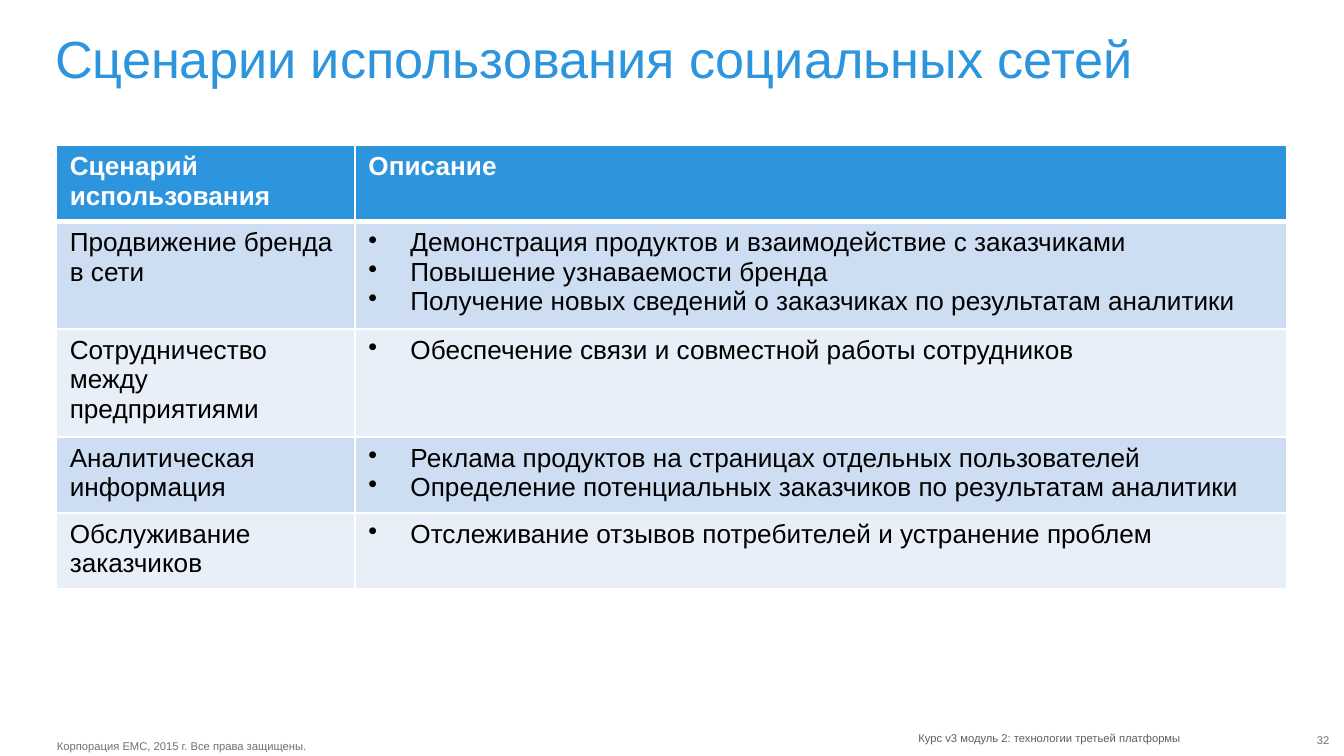
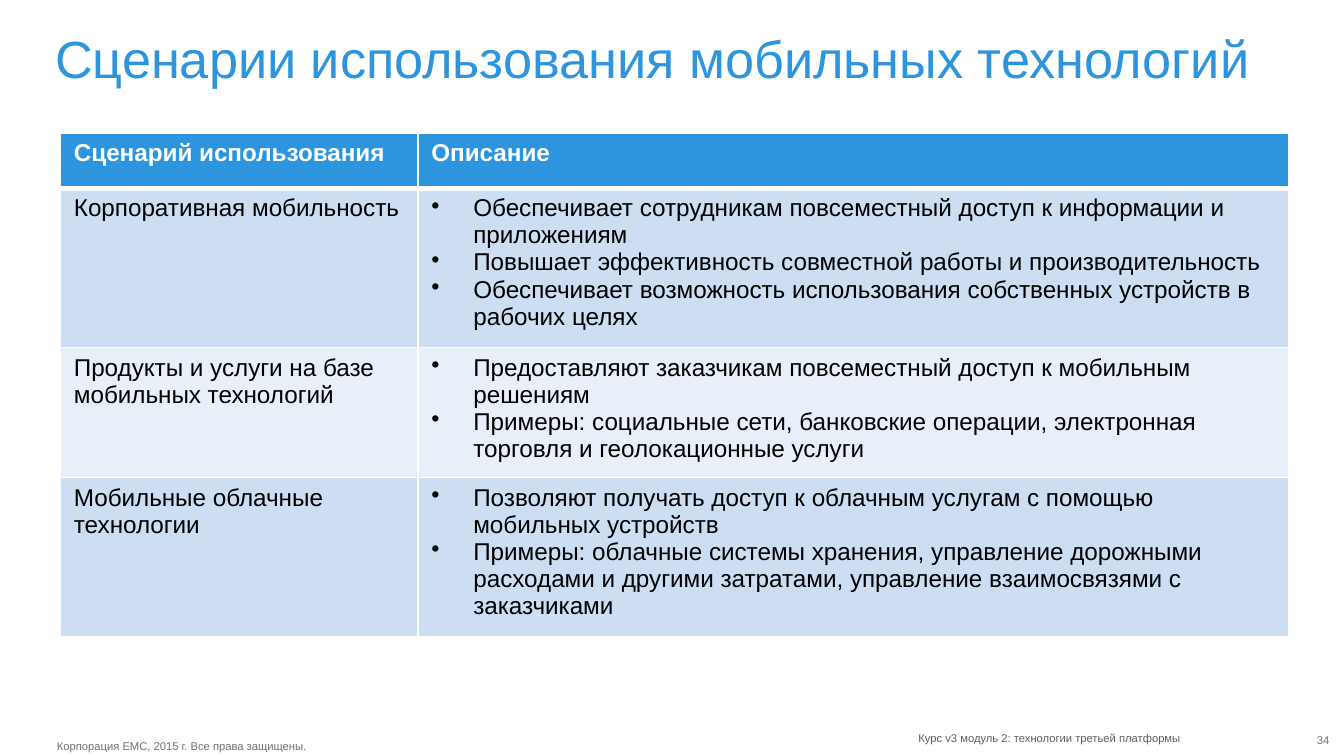
"""Builds two slides of usage scenario tables for social networks and mobile technologies."""
import pptx
import pptx.dml.color
import pptx.enum.text
import pptx.oxml
import pptx.oxml.ns
import pptx.util

Pt = pptx.util.Pt
FONT = "Arial"
BLUE, WHITE, BLACK = "2C95DD", "FFFFFF", "000000"
BANDS = ("CDDDF2", "E8EFF9")
COPYRIGHT_GREY, MODULE_GREY, NUMBER_GREY = "717073", "5B5E61", "717074"
LEFT, RIGHT = pptx.enum.text.PP_ALIGN.LEFT, pptx.enum.text.PP_ALIGN.RIGHT
COPYRIGHT = "Корпорация EMC, 2015 г. Все права защищены."
MODULE = "Курс v3 модуль 2: технологии третьей платформы"
HEADINGS = ("Сценарий использования", "Описание")
ROW_HEIGHT, BULLET_INDENT = 29.5, 22.5

SLIDES = [
    {
        "title": "Сценарии использования социальных сетей",
        "number": "32",
        "place": (30.2, 77.8, 237.6),
        "columns": (160, 499),
        "size": 14,
        "scenarios": [
            ("Продвижение бренда в сети", [
                "Демонстрация продуктов и взаимодействие с заказчиками",
                "Повышение узнаваемости бренда",
                "Получение новых сведений о заказчиках по результатам аналитики"]),
            ("Сотрудничество между предприятиями", [
                "Обеспечение связи и совместной работы сотрудников"]),
            ("Аналитическая информация", [
                "Реклама продуктов на страницах отдельных пользователей",
                "Определение потенциальных заказчиков по результатам аналитики"]),
            ("Обслуживание заказчиков", [
                "Отслеживание отзывов потребителей и устранение проблем"]),
        ],
    },
    {
        "title": "Сценарии использования мобильных технологий",
        "number": "34",
        "place": (32.4, 71.3, 269.3),
        "columns": (191.5, 466.6),
        "size": 13,
        "scenarios": [
            ("Корпоративная мобильность", [
                "Обеспечивает сотрудникам повсеместный доступ к информации и приложениям",
                "Повышает эффективность совместной работы и производительность",
                "Обеспечивает возможность использования собственных устройств в рабочих целях"]),
            ("Продукты и услуги на базе мобильных технологий", [
                "Предоставляют заказчикам повсеместный доступ к мобильным решениям",
                "Примеры: социальные сети, банковские операции, электронная торговля "
                "и геолокационные услуги"]),
            ("Мобильные облачные технологии", [
                "Позволяют получать доступ к облачным услугам с помощью мобильных устройств",
                "Примеры: облачные системы хранения, управление дорожными расходами "
                "и другими затратами, управление взаимосвязями с заказчиками"]),
        ],
    },
]


def rgb(value):
    return pptx.dml.color.RGBColor.from_string(value)


def format_runs(paragraph, size, color, bold=False):
    for run in paragraph.runs:
        run.font.name = FONT
        run.font.size = Pt(size)
        run.font.bold = bold
        run.font.color.rgb = rgb(color)


class Deck:
    def __init__(self):
        self.presentation = pptx.Presentation()
        self.presentation.slide_width = Pt(720)
        self.presentation.slide_height = Pt(405)
        self.slide = None

    def start_slide(self, title, number):
        self.slide = self.presentation.slides.add_slide(self.presentation.slide_layouts[6])
        self.text(COPYRIGHT, (30.5, 396, 134, 7.2), 6, COPYRIGHT_GREY, wrap=False)
        self.text(MODULE, (491.8, 391.7, 140.4, 7.2), 6, MODULE_GREY, RIGHT, wrap=False)
        heading = self.text(title, (29.5, 18, 666, 36), 28, BLUE)
        heading.line_spacing = 0.9
        self.text(number, (689.8, 393.1, 22.3, 7.2), 6, NUMBER_GREY, RIGHT)

    def text(self, words, box, size, color, align=LEFT, wrap=True):
        frame = self.slide.shapes.add_textbox(*map(Pt, box)).text_frame
        frame.margin_left = frame.margin_top = frame.margin_right = frame.margin_bottom = 0
        frame.word_wrap = wrap
        frame.text = words
        paragraph = frame.paragraphs[0]
        paragraph.alignment = align
        format_runs(paragraph, size, color)
        return paragraph

    def border(self, cell, side, width):
        cell._tc.get_or_add_tcPr().append(pptx.oxml.parse_xml(
            f'<a:ln{side} {pptx.oxml.ns.nsdecls("a")} w="{Pt(width)}"><a:solidFill>'
            f'<a:srgbClr val="{WHITE}"/></a:solidFill></a:ln{side}>'))

    def bullet(self, paragraph):
        properties = paragraph._p.get_or_add_pPr()
        properties.set("marL", str(Pt(BULLET_INDENT)))
        properties.set("indent", str(-Pt(BULLET_INDENT)))
        properties.append(pptx.oxml.parse_xml(
            f'<a:buChar {pptx.oxml.ns.nsdecls("a")} char="•"/>'))

    def cell(self, cell, lines, row, size, bulleted):
        widths = {"L": 1, "R": 1, "T": 3 if row == 1 else 1, "B": 3 if row == 0 else 1}
        for side, width in widths.items():
            self.border(cell, side, width)
        cell.fill.solid()
        cell.fill.fore_color.rgb = rgb(BANDS[(row - 1) % 2] if row else BLUE)
        cell.text_frame.text = "\n".join(lines)
        for paragraph in cell.text_frame.paragraphs:
            if bulleted:
                self.bullet(paragraph)
            format_runs(paragraph, size, BLACK if row else WHITE, bold=row == 0)

    def scenario_table(self, scenarios, place, columns, size):
        left, top, height = place
        table = self.slide.shapes.add_table(
            len(scenarios) + 1, len(columns),
            Pt(left), Pt(top), Pt(sum(columns)), Pt(height)).table
        table.horz_banding = False
        for column, width in zip(table.columns, columns):
            column.width = Pt(width)
        for row in table.rows:
            row.height = Pt(ROW_HEIGHT)
        for index, heading in enumerate(HEADINGS):
            self.cell(table.cell(0, index), [heading], 0, size, False)
        for row, (scenario, descriptions) in enumerate(scenarios, 1):
            self.cell(table.cell(row, 0), [scenario], row, size, False)
            self.cell(table.cell(row, 1), descriptions, row, size, True)


def main():
    deck = Deck()
    for content in SLIDES:
        deck.start_slide(content["title"], content["number"])
        deck.scenario_table(
            content["scenarios"], content["place"], content["columns"], content["size"])
    deck.presentation.save("out.pptx")


if __name__ == "__main__":
    main()
